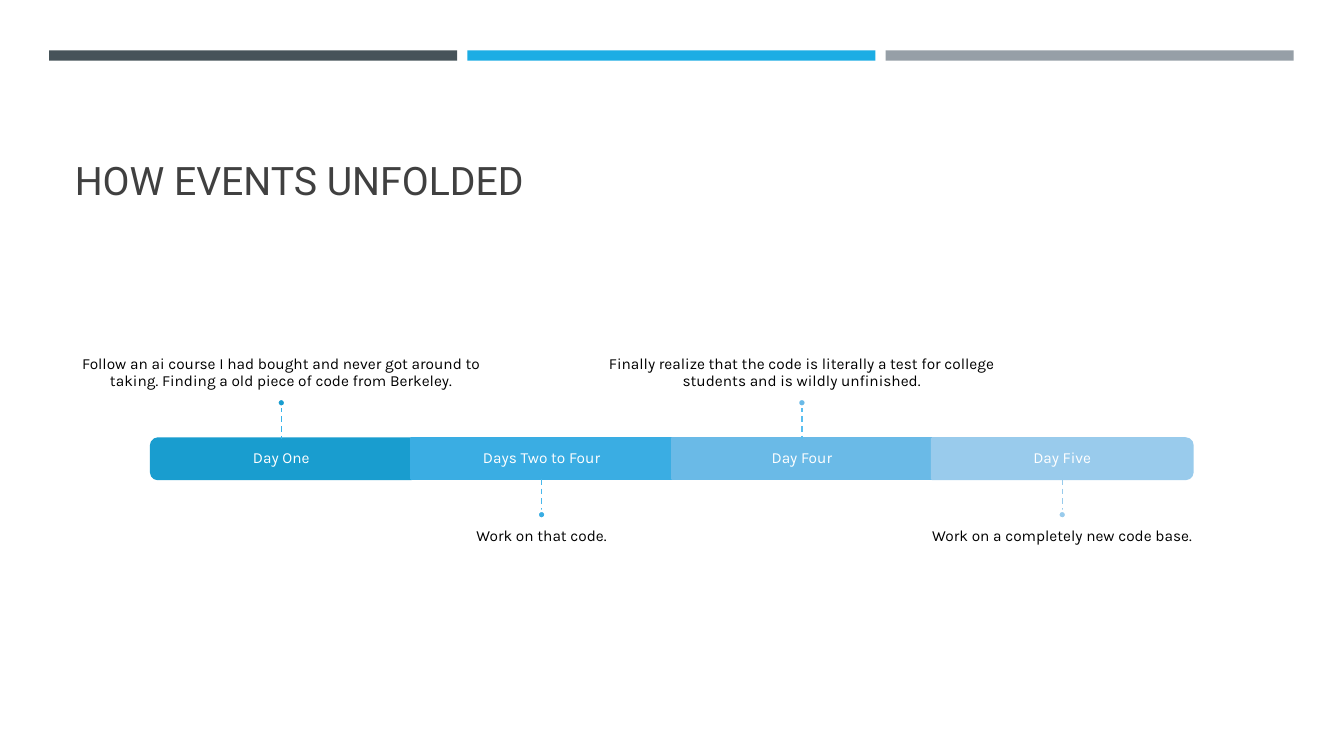
from lxml import etree
from pptx import Presentation
from pptx.dml.color import RGBColor
from pptx.enum.dml import MSO_LINE
from pptx.enum.shapes import MSO_CONNECTOR, MSO_SHAPE
from pptx.enum.text import MSO_ANCHOR, MSO_AUTO_SIZE, PP_ALIGN
from pptx.oxml.ns import qn
from pptx.util import Cm, Pt

RECT = MSO_SHAPE.RECTANGLE
ROUND = MSO_SHAPE.ROUND_2_SAME_RECTANGLE
OVAL = MSO_SHAPE.OVAL
STRAIGHT = MSO_CONNECTOR.STRAIGHT
DASH = MSO_LINE.DASH
TOP, MIDDLE, BOTTOM = MSO_ANCHOR.TOP, MSO_ANCHOR.MIDDLE, MSO_ANCHOR.BOTTOM
LEFT, CENTER = PP_ALIGN.LEFT, PP_ALIGN.CENTER
NO_FIT = MSO_AUTO_SIZE.NONE

COLORS = {
    "slate": "465359", "blue": "1CADE4", "gray": "969FA7",
    "title": "404040", "text": "000000", "white": "FFFFFF",
    "day1": "199DCF", "day2": "3AADE3", "day3": "6ABAE7", "day4": "99CBEC",
    "stem1": "36B3E9", "stem2": "48B8EC", "stem3": "5ABEEF", "stem4": "98CBEC",
}

STRIPES = ["slate", "blue", "gray"]
EVENTS = [
    ("Day One", "Follow an ai course I had bought and never got around to taking. "
                "Finding a old piece of code from Berkeley."),
    ("Days Two to Four", "Work on that code."),
    ("Day Four", "Finally realize that the code is literally a test for college "
                 "students and is wildly unfinished."),
    ("Day Five", "Work on a completely new code base."),
]

START, STEP = 3.81, 6.56
BAR_TOP, BAR_H = 11.05, 1.02
STEM, DOT = 0.8, 0.2
NOTE_W, NOTE_H = 10.95, 3.53
PAD = 0.23


class Deck:
    def __init__(self):
        self.prs = Presentation()
        self.prs.slide_width, self.prs.slide_height = Cm(33.87), Cm(19.05)
        self.slide = self.prs.slides.add_slide(self.prs.slide_layouts[5])
        self.shapes = self.slide.shapes

    def color(self, name):
        return RGBColor.from_string(COLORS[name])

    def fill_text(self, frame, text, font, size, color, align, anchor, space):
        frame.word_wrap = True
        frame.auto_size = NO_FIT
        frame.vertical_anchor = anchor
        para = frame.paragraphs[0]
        para.alignment = align
        para.line_spacing = space
        run = para.add_run()
        run.text = text
        run.font.name = font
        run.font.size = Pt(size)
        run.font.color.rgb = self.color(color)

    def title(self, text):
        head = self.shapes.title
        head.left, head.top = Cm(1.63), Cm(1.96)
        head.width, head.height = Cm(30.63), Cm(3.3)
        self.fill_text(head.text_frame, text, "Roboto", 28, "title", LEFT, BOTTOM, 1.0)

    def shape(self, kind, x, y, w, h, fill, line=None, turn=0):
        item = self.shapes.add_shape(kind, Cm(x), Cm(y), Cm(w), Cm(h))
        item.shadow.inherit = False
        item.rotation = turn
        item.fill.solid()
        item.fill.fore_color.rgb = self.color(fill)
        if line:
            item.line.color.rgb = self.color(line)
            item.line.width = Pt(1.75)
        else:
            item.line.fill.background()

    def label(self, text, x, y, w, h, color, anchor, pads):
        frame = self.shapes.add_textbox(Cm(x), Cm(y), Cm(w), Cm(h)).text_frame
        frame.margin_left = frame.margin_right = Cm(pads[0])
        frame.margin_top, frame.margin_bottom = Cm(pads[1]), Cm(pads[2])
        self.fill_text(frame, text, "Karla", 11, color, CENTER, anchor, 0.9)

    def stem(self, x, top, color):
        line = self.shapes.add_connector(STRAIGHT, Cm(x), Cm(top), Cm(x), Cm(top + STEM))
        line.line.color.rgb = self.color(color)
        line.line.width = Pt(1)
        line.line.dash_style = DASH
        etree.SubElement(line._element.spPr, qn("a:effectLst"))

    def event(self, index, name, note):
        fill = f"day{index + 1}"
        left = START + index * STEP
        mid = left + STEP / 2
        if index in (0, len(EVENTS) - 1):
            turn = 90 if index else 270
            self.shape(ROUND, mid - BAR_H / 2, BAR_TOP + (BAR_H - STEP) / 2,
                       BAR_H, STEP, fill, fill, turn)
        else:
            self.shape(RECT, left, BAR_TOP, STEP, BAR_H, fill, fill)
        self.label(name, left, BAR_TOP, STEP, BAR_H, "white", MIDDLE, (PAD, PAD, PAD))

        if index % 2 == 0:
            line_y = BAR_TOP - STEM
            dot_y = line_y - DOT
            note_y, anchor, pads = dot_y - NOTE_H, BOTTOM, (0, 0, PAD)
        else:
            line_y = BAR_TOP + BAR_H
            dot_y = line_y + STEM
            note_y, anchor, pads = dot_y + DOT, TOP, (0, PAD, 0)
        self.label(note, mid - NOTE_W / 2, note_y, NOTE_W, NOTE_H, "text", anchor, pads)
        self.stem(mid, line_y, f"stem{index + 1}")
        self.shape(OVAL, mid - DOT / 2, dot_y, DOT, DOT, fill, "white")


def main():
    deck = Deck()
    for i, fill in enumerate(STRIPES):
        deck.shape(RECT, 1.24 + i * 10.54, 1.27, 10.28, 0.26, fill)
    deck.title("HOW EVENTS UNFOLDED")
    for i, (name, note) in enumerate(EVENTS):
        deck.event(i, name, note)
    deck.prs.save("out.pptx")


if __name__ == "__main__":
    main()
